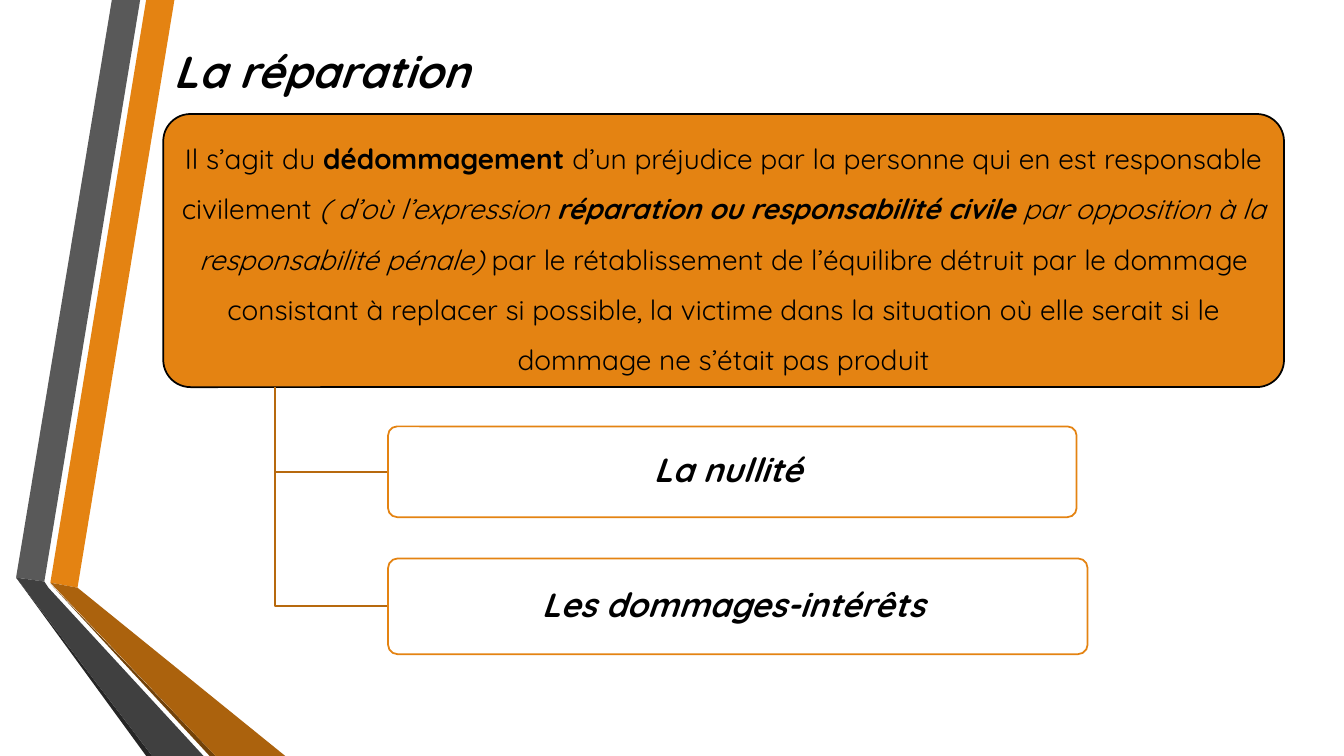
from pptx import Presentation
from pptx.dml.color import RGBColor
from pptx.enum.shapes import MSO_SHAPE
from pptx.enum.text import MSO_ANCHOR, PP_ALIGN
from pptx.util import Pt

ROUNDED = MSO_SHAPE.ROUNDED_RECTANGLE
MIDDLE = MSO_ANCHOR.MIDDLE
CENTER = PP_ALIGN.CENTER

FONT = "Quicksand"
BLACK = RGBColor(0x00, 0x00, 0x00)
WHITE = RGBColor(0xFF, 0xFF, 0xFF)
ORANGE = RGBColor(0xE4, 0x83, 0x12)
CONNECTOR = RGBColor(0xB7, 0x69, 0x0E)
DARK_ORANGE = RGBColor(0xAB, 0x62, 0x0D)
BROWN = RGBColor(0x72, 0x42, 0x09)
GREY = RGBColor(0x59, 0x59, 0x59)
DARK_GREY = RGBColor(0x40, 0x40, 0x40)
CHARCOAL = RGBColor(0x26, 0x26, 0x26)

TITLE = "La réparation"
TITLE_BOX = (116.6, 18.7, 789.1, 64.1)

# text, bold, italic
DEFINITION = [
    ("Il s’agit du ", False, False),
    ("dédommagement ", True, False),
    ("d’un préjudice par la personne qui en est responsable civilement ", False, False),
    ("( d’où l’expression ", False, True),
    ("réparation ou responsabilité civile ", True, True),
    ("par opposition à la responsabilité pénale) ", False, True),
    ("par le rétablissement de l’équilibre détruit par le dommage consistant à "
     "replacer si possible, la victime dans la situation où elle serait si le "
     "dommage ne s’était pas produit", False, False),
]
DEFINITION_BOX = (116.6, 81.4, 800.6, 195.1)

# text, top, width, height
FORMS = [
    ("La nullité ", 304.6, 491.8, 64.8),
    ("Les dommages-intérêts ", 398.9, 499.7, 68.4),
]
FORMS_LEFT = 277.2

RIBBONS = [
    (ORANGE, [(36, 416.2), (55.4, 419.8), (124.6, 0), (104.4, 0)]),
    (GREY, [(100.1, 0), (79.9, 0), (11.5, 412.6), (31.7, 415.4)]),
    (CHARCOAL, [(11.5, 412.6), (104.4, 540), (108.7, 540)]),
    (BROWN, [(36, 416.9), (149.8, 540), (154.1, 540)]),
    (DARK_ORANGE, [(36, 416.2), (154.1, 540), (203.8, 540), (55.4, 419.8)]),
    (DARK_GREY, [(145.4, 540), (34.6, 419.8), (31.7, 415.4), (11.5, 412.6),
                 (108.7, 540)]),
]


def add_outline(s, points, close):
    pts = [(Pt(x), Pt(y)) for x, y in points]
    builder = s.shapes.build_freeform(*pts[0])
    builder.add_line_segments(pts[1:], close=close)
    sp = builder.convert_to_shape()
    sp.shadow.inherit = False
    return sp


def set_line(sp, color):
    sp.line.color.rgb = color
    sp.line.width = Pt(1.25)


def write(tf, runs, size):
    """Fill the first paragraph with (text, bold, italic) runs and return it."""
    tf.word_wrap = True
    tf.vertical_anchor = MIDDLE
    p = tf.paragraphs[0]
    p.font.name = FONT
    p.font.size = Pt(size)
    p.font.color.rgb = BLACK
    for text, bold, italic in runs:
        r = p.add_run()
        r.text = text
        r.font.bold = bold
        r.font.italic = italic
    return p


def add_box(s, box, fill, line, runs, size, spacing, inset):
    sp = s.shapes.add_shape(ROUNDED, *map(Pt, box))
    sp.adjustments[0] = 0.1
    sp.shadow.inherit = False
    sp.fill.solid()
    sp.fill.fore_color.rgb = fill
    set_line(sp, line)
    tf = sp.text_frame
    tf.margin_left = tf.margin_right = Pt(inset)
    tf.margin_top = tf.margin_bottom = Pt(2)
    p = write(tf, runs, size)
    p.alignment = CENTER
    p.line_spacing = spacing
    p.space_after = Pt(0.35 * size)


def main():
    prs = Presentation()
    prs.slide_width, prs.slide_height = Pt(960), Pt(540)
    s = prs.slides.add_slide(prs.slide_layouts[6])

    for color, points in RIBBONS:
        sp = add_outline(s, points, True)
        sp.fill.solid()
        sp.fill.fore_color.rgb = color
        sp.line.fill.background()

    title = s.shapes.add_textbox(*map(Pt, TITLE_BOX))
    write(title.text_frame, [(TITLE, True, True)], 32)

    add_box(s, DEFINITION_BOX, ORANGE, BLACK, DEFINITION, 20, 1.5, 3)

    left, top, width, height = DEFINITION_BOX
    trunk_x, trunk_top = left + width / 10, top + height
    for text, top, width, height in FORMS:
        middle = top + height / 2
        branch = add_outline(s, [(trunk_x, trunk_top), (trunk_x, middle),
                                 (FORMS_LEFT, middle)], False)
        branch.fill.background()
        set_line(branch, CONNECTOR)
        add_box(s, (FORMS_LEFT, top, width, height), WHITE, ORANGE,
                [(text, True, True)], 24, 0.9, 3.6)

    prs.save("out.pptx")


if __name__ == "__main__":
    main()
